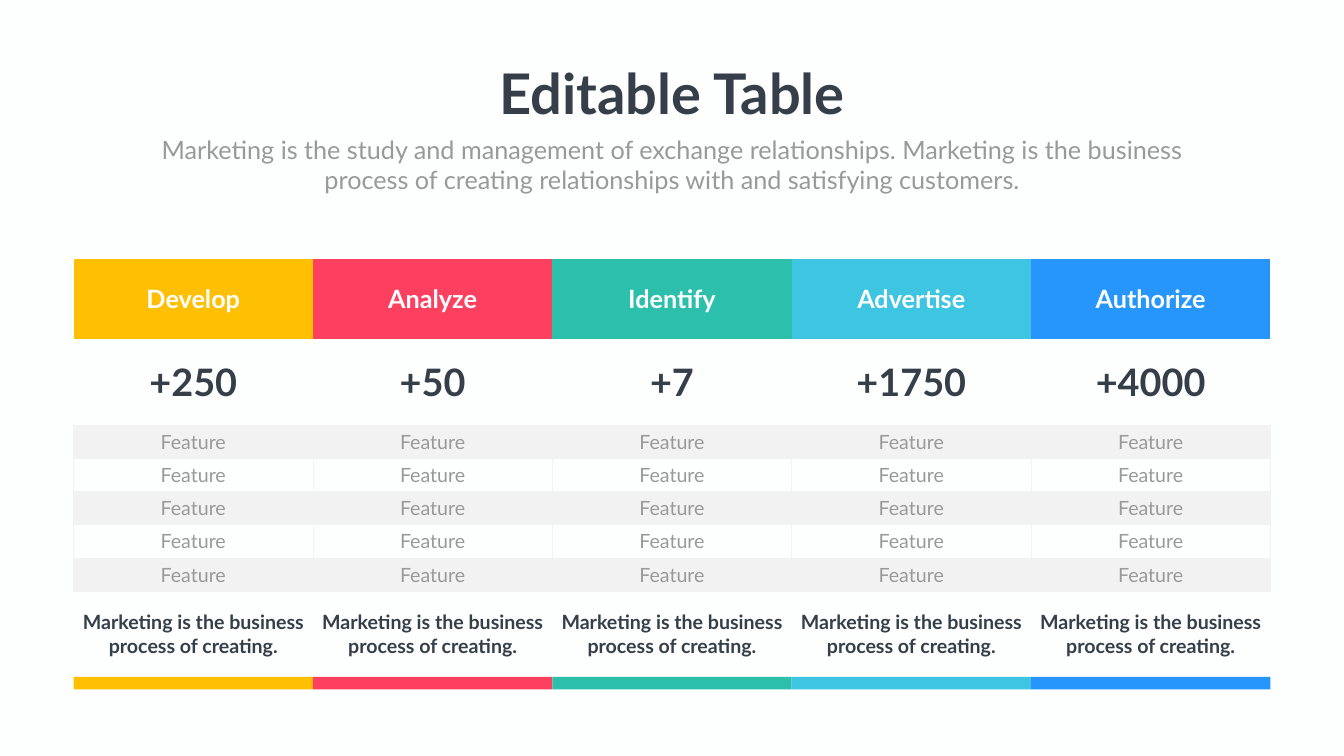
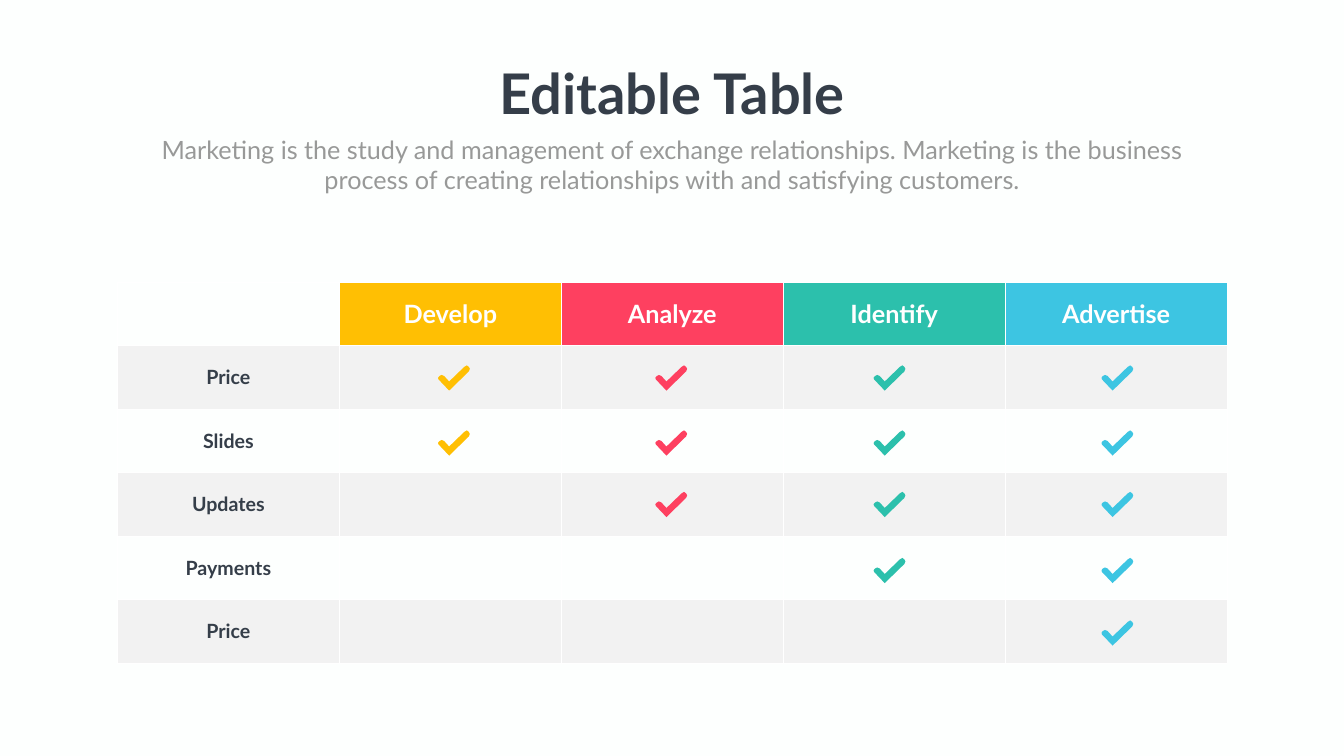
from dataclasses import dataclass

from lxml.etree import SubElement
from pptx import Presentation
from pptx.dml.color import RGBColor as Rgb
from pptx.enum.shapes import MSO_SHAPE as Shape
from pptx.enum.text import MSO_ANCHOR as Anchor, MSO_AUTO_SIZE as AutoSize, PP_ALIGN as Align
from pptx.oxml.ns import qn
from pptx.util import Inches, Pt


@dataclass(frozen=True)
class Theme:
    """Hold the colours, font and type sizes of the slides."""
    font: str = "Lato"
    page: str = "FDFFFE"
    ink: str = "353E49"
    muted: str = "989998"
    white: str = "FFFFFF"
    band: str = "F2F2F2"
    accents: tuple = ("FFBF03", "FE4060", "2CC0AC", "3DC5E2", "2696FD")
    title: int = 80
    lead: int = 36
    figure: int = 54
    body: int = 28


THEME = Theme()
TITLE = "Editable Table"
LEAD = ("Marketing is the study and management of exchange relationships. "
        "Marketing is the business process of creating relationships with and satisfying customers.")
STAGES = ("Develop", "Analyze", "Identify", "Advertise", "Authorize")
GAINS = ("+250", "+50", "+7", "+1750", "+4000")
SUMMARY = "Marketing is the business process of creating."
CRITERIA = ("Price", "Slides", "Updates", "Payments", "Price")
NO_GRID_STYLE = "{2D5ABB26-0587-4C30-8999-92F81FD0307C}"
CHECK_OUTLINE = ((22, 50), (3, 30), (1, 28), (0, 25), (1, 23), (3, 21), (7, 19), (12, 21),
                 (22, 32), (52, 3), (57, 0), (61, 3), (63, 7), (61, 12))
CHECK_LEFTS = (8.69, 13, 17.33, 21.85)
CHECK_TOPS = (7.25, 8.54, 9.76, 11.07, 12.31)

HEADING = {"size": Pt(THEME.lead), "bold": True, "color": THEME.white}
FIGURE = {"size": Pt(THEME.figure), "bold": True, "color": THEME.ink}
FEATURE = {"size": Pt(THEME.body), "bold": False, "color": THEME.muted}
LABEL = {"size": Pt(THEME.body), "bold": True, "color": THEME.ink}
ROOMY = {"margin_left": Inches(0.14), "margin_right": Inches(0.14),
         "margin_top": Inches(0.07), "margin_bottom": Inches(0.07)}


def write(frame, text, style):
    """Write one centred paragraph in the given style."""
    paragraph = frame.paragraphs[0]
    paragraph.alignment = Align.CENTER
    run = paragraph.add_run()
    run.text = text
    run.font.name = THEME.font
    run.font.color.rgb = Rgb.from_string(style["color"])
    for name in ("size", "bold"):
        setattr(run.font, name, style[name])


def add_caption(group, box, text, style, wrap):
    """Add a text box that grows with its text."""
    frame = group.shapes.add_textbox(*map(Inches, box)).text_frame
    frame.word_wrap = wrap
    frame.auto_size = AutoSize.SHAPE_TO_FIT_TEXT
    write(frame, text, style)


def add_page(deck):
    """Add a blank slide with the shared background and heading."""
    slide = deck.slides.add_slide(deck.slide_layouts[6])
    slide.background.fill.solid()
    slide.background.fill.fore_color.rgb = Rgb.from_string(THEME.page)
    heading = slide.shapes.add_group_shape()
    add_caption(heading, (9.65, 1.12, 7.37, 1.45), TITLE,
                {"size": Pt(THEME.title), "bold": True, "color": THEME.ink}, False)
    add_caption(heading, (2.92, 2.61, 20.82, 1.31), LEAD,
                {"size": Pt(THEME.lead), "bold": False, "color": THEME.muted}, True)
    return slide


def add_grid(slide, left, top, width, row_heights, columns=5):
    """Add an unstyled table with equal columns."""
    box = map(Inches, (left, top, width, sum(row_heights)))
    frame = slide.shapes.add_table(len(row_heights), columns, *box)
    for style_id in frame.element.iter(qn("a:tableStyleId")):
        style_id.text = NO_GRID_STYLE
    table = frame.table
    table.first_row = table.horz_banding = False
    for column in table.columns:
        column.width = Inches(width / columns)
    for row, height in zip(table.rows, row_heights):
        row.height = Inches(height)
    return table


def paint(shape, color):
    """Fill a shape or cell, or leave it clear when there is no colour."""
    if color:
        shape.fill.solid()
        shape.fill.fore_color.rgb = Rgb.from_string(color)
    else:
        shape.fill.background()


def add_borders(cell, color, widths):
    """Draw the cell borders whose point widths are given by side."""
    properties = cell._tc.get_or_add_tcPr()
    for side in "LRTB":
        if side in widths:
            line = SubElement(properties, qn(f"a:ln{side}"), w=str(Pt(widths[side])))
            SubElement(SubElement(line, qn("a:solidFill")), qn("a:srgbClr"), val=color)


def fill_cell(cell, text=None, style=None, fill=None, margins=None):
    """Set the fill, margins and centred text of a cell."""
    paint(cell, fill)
    cell.vertical_anchor = Anchor.MIDDLE
    for name, value in (margins or {}).items():
        setattr(cell, name, value)
    if text:
        write(cell.text_frame, text, style)


def finish(shape, color):
    """Give a shape a flat fill without outline or shadow."""
    paint(shape, color)
    shape.line.fill.background()
    shape.shadow.inherit = False


def add_check(slide, left, top, color):
    """Draw a check mark from its outline in hundredths of an inch."""
    start, *others = CHECK_OUTLINE
    builder = slide.shapes.build_freeform(*start, scale=Inches(0.01))
    builder.add_line_segments(others, close=True)
    finish(builder.convert_to_shape(Inches(left), Inches(top)), color)


def build_features(deck):
    """Build the table of stages with their gains and features."""
    slide = add_page(deck)
    left, width, feature_count = 1.46, 23.74, 5
    feature_sides = ["LRB"] + ["LRTB"] * (feature_count - 2) + ["LRT"]
    heights = [1.6, 1.7] + [0.66] * feature_count + [1.7]
    table = add_grid(slide, left, 5.13, width, heights)
    step = width / len(STAGES)
    for column, (stage, gain, accent) in enumerate(zip(STAGES, GAINS, THEME.accents)):
        fill_cell(table.cell(0, column), stage, HEADING, accent, ROOMY)
        fill_cell(table.cell(1, column), gain, FIGURE, margins=ROOMY)
        for index, sides in enumerate(feature_sides):
            cell = table.cell(2 + index, column)
            add_borders(cell, THEME.band, dict.fromkeys(sides, 1))
            fill_cell(cell, "Feature", FEATURE, None if index % 2 else THEME.band)
        fill_cell(table.cell(2 + feature_count, column), SUMMARY, LABEL, margins=ROOMY)
        bar = map(Inches, (left + column * step, 13.43, step, 0.25))
        finish(slide.shapes.add_shape(Shape.RECTANGLE, *bar), accent)


def build_comparison(deck):
    """Build the table that checks each criterion by stage."""
    slide = add_page(deck)
    table = add_grid(slide, 2.33, 5.59, 22.01, [1.26] * 6)
    for row, label in enumerate(("",) + CRITERIA):
        for column in range(5):
            cell = table.cell(row, column)
            widths = {**dict.fromkeys("LRTB", 0.5), "L": 0.5 if column else 1}
            add_borders(cell, THEME.white, widths)
            if row == 0 and column:
                fill_cell(cell, STAGES[column - 1], HEADING, THEME.accents[column - 1])
            else:
                fill_cell(cell, None if column else label, LABEL, THEME.band if row % 2 else None)
    for column, (left, accent) in enumerate(zip(CHECK_LEFTS, THEME.accents)):
        for top in CHECK_TOPS[:column + 2]:
            add_check(slide, left, top, accent)


def main():
    """Build and save the two slides."""
    deck = Presentation()
    deck.slide_width, deck.slide_height = Inches(26.66), Inches(15)
    build_features(deck)
    build_comparison(deck)
    deck.save("out.pptx")


if __name__ == "__main__":
    main()
